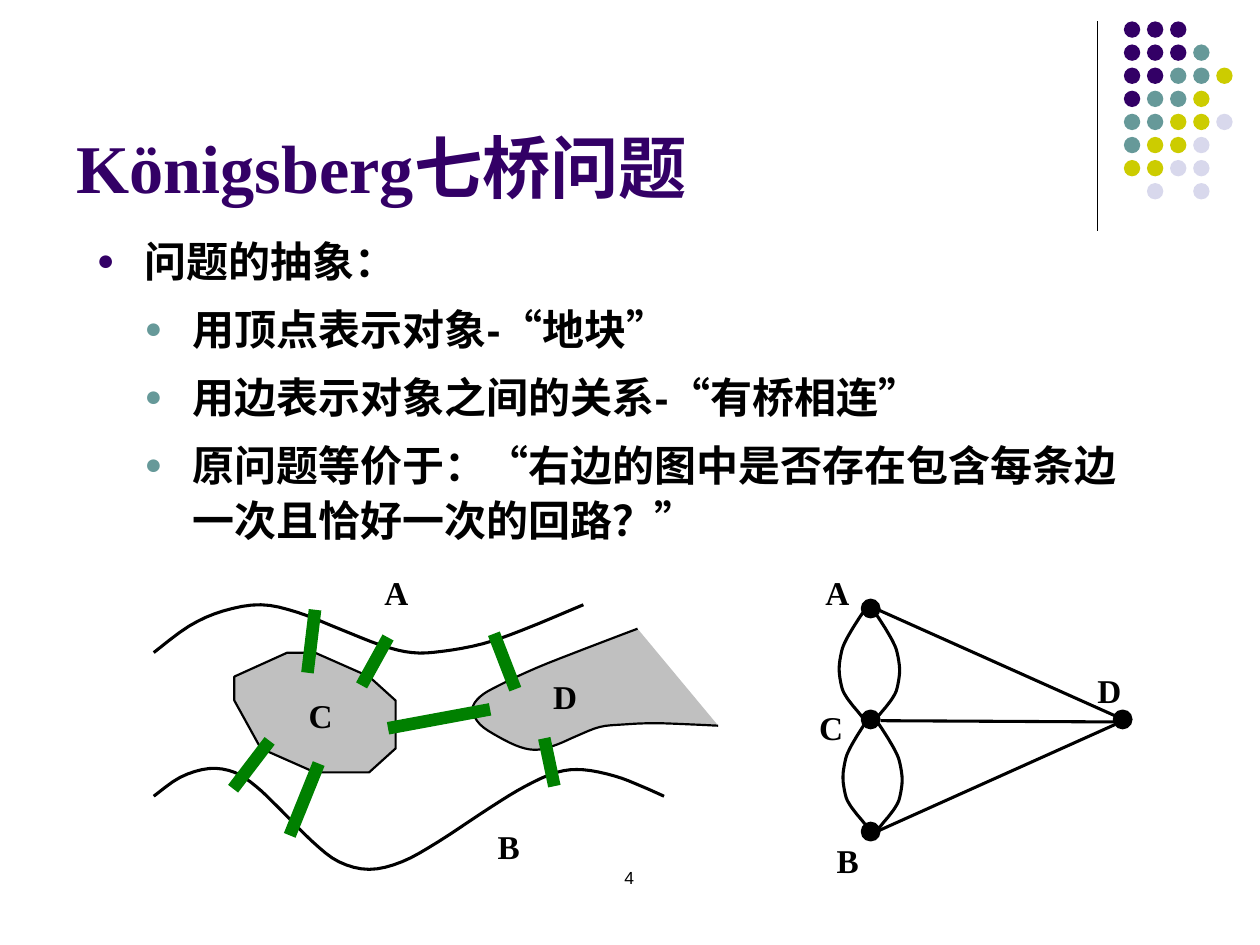
from math import hypot
from lxml import etree
from pptx import Presentation
from pptx.dml.color import RGBColor as RGB
from pptx.enum.shapes import MSO_CONNECTOR as LINE, MSO_SHAPE as SHAPE
from pptx.enum.text import MSO_ANCHOR as ANCHOR, PP_ALIGN as ALIGN
from pptx.oxml.ns import qn
from pptx.util import Inches, Pt

COLORS = {"purple": "330066", "teal": "669999", "olive": "CCCC00", "lilac": "D8D8EC",
          "black": "000000", "land": "C0C0C0", "bridge": "008000"}
SERIF, SANS = "Times New Roman", "Arial"

TITLE = "Königsberg七桥问题"
BODY = [
    (0, "问题的抽象："),
    (1, "用顶点表示对象-“地块”"),
    (1, "用边表示对象之间的关系-“有桥相连”"),
    (1, "原问题等价于：“右边的图中是否存在包含每条边一次且恰好一次的回路？”"),
]
PAGE_NUMBER = "4"

DOT_ROWS = ["PPP", "PPPT", "PPTTO", "PTTO", "TTOOL", "TOOL", "OOLL", " L L"]
DOT_COLORS = {"P": "purple", "T": "teal", "O": "olive", "L": "lilac"}
DOT_LEFT, DOT_TOP, DOT_SIZE, DOT_PITCH = 8.92, 0.17, 0.13, 0.55 / 3

NORTH_BANK = [(1.22, 5.18), (1.5, 4.97), (1.77, 4.85), (2.07, 4.8), (2.36, 4.86),
              (2.69, 4.99), (3.02, 5.12), (3.27, 5.18), (3.51, 5.17), (3.83, 5.11),
              (4.15, 5), (4.63, 4.8)]
SOUTH_BANK = [(1.22, 6.32), (1.43, 6.17), (1.66, 6.1), (1.86, 6.13), (2.03, 6.24),
              (2.21, 6.41), (2.48, 6.68), (2.69, 6.84), (2.93, 6.9), (3.19, 6.84),
              (3.48, 6.68), (3.89, 6.41), (4.17, 6.24), (4.42, 6.13), (4.63, 6.11),
              (4.88, 6.16), (5.09, 6.24), (5.27, 6.32)]
EAST_LAND = [(5.06, 4.99), (4.64, 5.15), (4.26, 5.3), (3.96, 5.44), (3.81, 5.53),
             (3.75, 5.63), (3.81, 5.75), (3.96, 5.85), (4.13, 5.93), (4.27, 5.95),
             (4.42, 5.91), (4.58, 5.84), (4.76, 5.77), (4.95, 5.75), (5.19, 5.74),
             (5.49, 5.75), (5.7, 5.76)]
ISLAND = [(2.28, 5.18), (1.86, 5.37), (1.86, 5.56), (2.07, 5.94), (2.5, 6.13),
          (2.93, 6.13), (3.14, 5.94), (3.14, 5.56), (2.93, 5.37), (2.5, 5.18)]

BRIDGE_WIDTH = 0.1
BRIDGES = [((2.5, 4.84), (2.44, 5.34)), ((3.08, 5.06), (2.87, 5.44)),
           ((2.14, 5.88), (1.85, 6.26)), ((2.53, 6.06), (2.3, 6.63)),
           ((3.92, 5.03), (4.09, 5.47)), ((4.32, 5.86), (4.4, 6.24)),
           ((3.08, 5.78), (3.89, 5.63))]

VERTEX_SIZE = 0.14
VERTICES = [(6.84, 4.76), (6.84, 5.64), (6.84, 6.53), (8.84, 5.64)]
STRAIGHT_EDGES = [((6.97, 4.84), (8.87, 5.69)), ((6.99, 5.72), (8.88, 5.73)),
                  ((6.98, 6.59), (8.85, 5.75))]
ARC = [(0, 0), (0.04, 0.06), (0.09, 0.14), (0.14, 0.23), (0.17, 0.31), (0.19, 0.45),
       (0.17, 0.59), (0.14, 0.66), (0.09, 0.73), (0.04, 0.79), (0, 0.84)]
CURVED_EDGES = [(6.85, 4.86, -1), (6.95, 4.87, 1), (6.88, 5.72, -1), (6.97, 5.74, 1)]

LABELS = [("C", 2.45, 5.52), ("D", 4.39, 5.37), ("A", 3.05, 4.54), ("B", 3.95, 6.56),
          ("A", 6.55, 4.54), ("C", 6.5, 5.61), ("B", 6.64, 6.67), ("D", 8.71, 5.32)]

prs = Presentation()
prs.slide_width, prs.slide_height = Inches(10), Inches(7.5)
slide = prs.slides.add_slide(prs.slide_layouts[6])
shapes = slide.shapes


def rgb(name):
    return RGB.from_string(COLORS[name])


def paint(shape, fill=None, line_width=None):
    shape.shadow.inherit = False
    if fill:
        shape.fill.solid()
        shape.fill.fore_color.rgb = rgb(fill)
    else:
        shape.fill.background()
    if line_width:
        shape.line.color.rgb = rgb("black")
        shape.line.width = Pt(line_width)
    else:
        shape.line.fill.background()


def outline(points, closed=False, fill=None, line_width=None):
    emu = [(Inches(x), Inches(y)) for x, y in points]
    builder = shapes.build_freeform(*emu[0])
    builder.add_line_segments(emu[1:], close=closed)
    paint(builder.convert_to_shape(), fill, line_width)


def smooth_curve(knots, steps=4):
    padded = [knots[0], *knots, knots[-1]]
    points = []
    for a, b, c, d in zip(padded, padded[1:], padded[2:], padded[3:]):
        for t in (step / steps for step in range(steps)):
            points.append(tuple(
                q + t * (r - p) / 2 + t * t * (2 * p - 5 * q + 4 * r - s) / 2
                + t ** 3 * (3 * q - p - 3 * r + s) / 2
                for p, q, r, s in zip(a, b, c, d)))
    return points + [knots[-1]]


def circle(x, y, size, fill, line_width=None):
    box = (Inches(v) for v in (x, y, size, size))
    paint(shapes.add_shape(SHAPE.OVAL, *box), fill, line_width)


def straight(start, end, width):
    line = shapes.add_connector(LINE.STRAIGHT, *(Inches(v) for v in (*start, *end)))
    line.line.color.rgb = rgb("black")
    line.line.width = Pt(width)
    etree.SubElement(line._element.spPr, qn("a:effectLst"))


def text_frame(x, y, width, height, wrap=True, inset=True):
    frame = shapes.add_textbox(*(Inches(v) for v in (x, y, width, height))).text_frame
    frame.word_wrap = wrap
    if not inset:
        frame.margin_left = frame.margin_right = frame.margin_top = frame.margin_bottom = 0
    return frame


def write(paragraph, text, size, font, color="black", bold=True):
    paragraph.text = text
    paragraph.font.size = Pt(size)
    paragraph.font.name = font
    paragraph.font.bold = bold
    paragraph.font.color.rgb = rgb(color)


def add_bullet(paragraph, level):
    props = paragraph._p.get_or_add_pPr()
    props.set("marL", str(Inches(0.38 * (level + 1))))
    props.set("indent", str(Inches(-0.38)))
    bullet = [("buClr", {}), ("buSzPct", {"val": "70000"}),
              ("buFont", {"typeface": SANS}), ("buChar", {"char": "●"})]
    parts = [etree.Element(qn(f"a:{tag}"), attrs) for tag, attrs in bullet]
    etree.SubElement(parts[0], qn("a:srgbClr"), val=COLORS[("purple", "teal")[level]])
    for part in parts:
        props.insert_element_before(part, "a:tabLst", "a:defRPr", "a:extLst")


straight((8.71, 0.17), (8.71, 1.83), 0.75)
for row, codes in enumerate(DOT_ROWS):
    for column, code in enumerate(codes):
        if code in DOT_COLORS:
            circle(DOT_LEFT + column * DOT_PITCH, DOT_TOP + row * DOT_PITCH,
                   DOT_SIZE, DOT_COLORS[code])

title = text_frame(0.51, 0.44, 8.5, 1.25)
title.vertical_anchor = ANCHOR.BOTTOM
write(title.paragraphs[0], TITLE, 39, SERIF, "purple")

body = text_frame(0.67, 1.78, 8.5, 2.76)
for index, (level, text) in enumerate(BODY):
    paragraph = body.add_paragraph() if index else body.paragraphs[0]
    write(paragraph, text, 24, SANS)
    paragraph.level = level
    paragraph.line_spacing = 1.1
    paragraph.space_before = Pt(7.2)
    add_bullet(paragraph, level)

for bank in (NORTH_BANK, SOUTH_BANK):
    outline(smooth_curve(bank), line_width=1.75)
east_shore = smooth_curve(EAST_LAND)
outline(east_shore, closed=True, fill="land")
outline(east_shore, line_width=1.25)
outline(ISLAND, closed=True, fill="land", line_width=1.25)

for (x1, y1), (x2, y2) in BRIDGES:
    half = BRIDGE_WIDTH / 2 / hypot(x2 - x1, y2 - y1)
    nx, ny = (y1 - y2) * half, (x2 - x1) * half
    outline([(x1 + nx, y1 + ny), (x1 - nx, y1 - ny), (x2 - nx, y2 - ny), (x2 + nx, y2 + ny)],
            closed=True, fill="bridge")

for x, y in VERTICES:
    circle(x, y, VERTEX_SIZE, "black", 1.25)
for start, end in STRAIGHT_EDGES:
    straight(start, end, 1.75)
for x, y, side in CURVED_EDGES:
    outline(smooth_curve([(x + side * dx, y + dy) for dx, dy in ARC]), line_width=1.75)

for letter, x, y in LABELS:
    label = text_frame(x, y, 0.19, 0.32, wrap=False, inset=False)
    write(label.paragraphs[0], letter, 19, SERIF)

page = text_frame(3.83, 6.83, 2.33, 0.5).paragraphs[0]
write(page, PAGE_NUMBER, 10, SANS, bold=False)
page.alignment = ALIGN.CENTER

prs.save("out.pptx")
